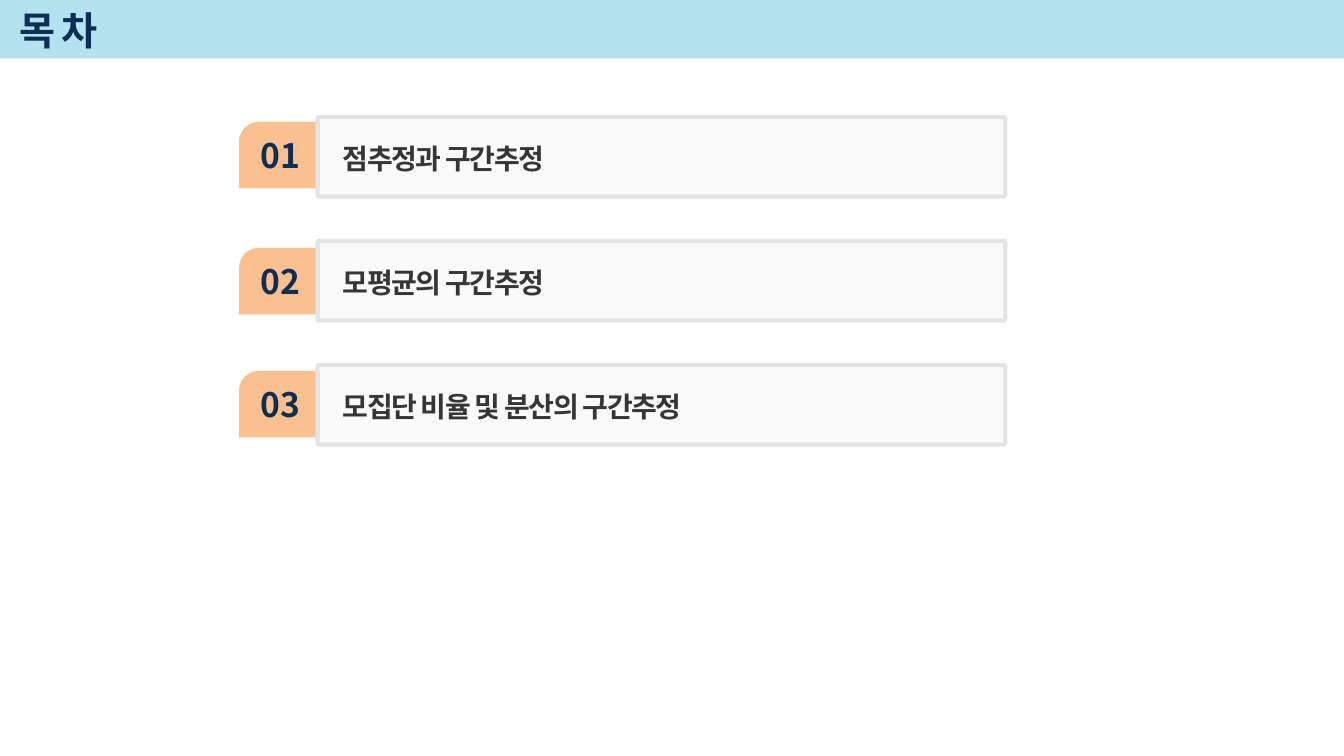
from dataclasses import dataclass
from typing import NamedTuple

from lxml import etree
from pptx import Presentation
from pptx.dml.color import RGBColor
from pptx.enum.shapes import MSO_SHAPE
from pptx.enum.text import MSO_ANCHOR, PP_ALIGN
from pptx.oxml.ns import qn
from pptx.util import Emu, Pt

RECT = MSO_SHAPE.RECTANGLE
CARD = MSO_SHAPE.ROUNDED_RECTANGLE
TAB = MSO_SHAPE.SNIP_ROUND_RECTANGLE
TOP, MIDDLE = MSO_ANCHOR.TOP, MSO_ANCHOR.MIDDLE
LEFT, CENTER = PP_ALIGN.LEFT, PP_ALIGN.CENTER
EMU_PER_PX = 9144


@dataclass(frozen=True)
class Theme:
    font: str = "Noto Sans CJK KR"
    band: str = "B3E3EE"
    tab: str = "FAC090"
    card: str = "F2F2F2"
    border: str = "E4E4E4"
    navy: str = "0F2E53"
    body: str = "363636"
    title_size: int = 28
    number_size: int = 24
    item_size: int = 20


class Box(NamedTuple):
    x: int
    y: int
    w: int
    h: int

    def emu(self) -> list[Emu]:
        return [Emu(v * EMU_PER_PX) for v in self]


@dataclass(frozen=True)
class TextStyle:
    size: int
    color: str
    align: PP_ALIGN = LEFT
    anchor: MSO_ANCHOR = TOP
    wrap: bool = True
    tracking: int = 0
    line_spacing: float = 1.0
    space_after: int = 0


class Item(NamedTuple):
    label: str
    tab_y: int


THEME = Theme()
TITLE = TextStyle(THEME.title_size, THEME.navy, anchor=MIDDLE, tracking=-100)
NUMBER = TextStyle(THEME.number_size, THEME.navy, align=CENTER, wrap=False)
LABEL = TextStyle(THEME.item_size, THEME.body, tracking=-100,
                  line_spacing=1.1, space_after=3)

ITEMS = [
    Item("점추정과 구간추정", 121),
    Item("모평균의 구간추정", 246),
    Item("모집단 비율 및 분산의 구간추정", 368),
]
CARD_TOP, CARD_PITCH = 116, 123


def add_panel(s, kind: MSO_SHAPE, box: Box, fill: str, adjustments=(),
              alpha: int | None = None, border: str | None = None) -> None:
    sp = s.shapes.add_shape(kind, *box.emu())
    sp.shadow.inherit = False
    for i, value in enumerate(adjustments):
        sp.adjustments[i] = value
    sp.fill.solid()
    sp.fill.fore_color.rgb = RGBColor.from_string(fill)
    if alpha is not None:
        color = sp._element.spPr.find(f"{qn('a:solidFill')}/{qn('a:srgbClr')}")
        etree.SubElement(color, qn("a:alpha")).set("val", str(alpha * 1000))
    if border is None:
        sp.line.fill.background()
    else:
        sp.line.color.rgb = RGBColor.from_string(border)
        sp.line.width = Pt(3)


def add_text(s, box: Box, text: str, style: TextStyle) -> None:
    tf = s.shapes.add_textbox(*box.emu()).text_frame
    p = tf.paragraphs[0]
    r = p.add_run()
    r.text = text
    formats = {
        tf: {"word_wrap": style.wrap, "vertical_anchor": style.anchor},
        p: {"alignment": style.align, "line_spacing": style.line_spacing,
            "space_after": Pt(style.space_after)},
        r.font: {"name": THEME.font, "size": Pt(style.size), "bold": True},
    }
    for target, values in formats.items():
        for name, value in values.items():
            setattr(target, name, value)
    r.font.color.rgb = RGBColor.from_string(style.color)
    rpr = r._r.get_or_add_rPr()
    etree.SubElement(rpr, qn("a:ea")).set("typeface", THEME.font)
    if style.tracking:
        rpr.set("spc", str(style.tracking))


def add_item(s, index: int, item: Item) -> None:
    card_y = CARD_TOP + index * CARD_PITCH
    add_panel(s, TAB, Box(237, item.tab_y, 80, 66), THEME.tab, (0.3, 0))
    add_text(s, Box(249, item.tab_y + 8, 59, 50), f"{index + 1:02d}", NUMBER)
    add_panel(s, CARD, Box(315, card_y, 682, 79), THEME.card, (0.02,),
              alpha=33, border=THEME.border)
    add_text(s, Box(330, card_y + 16, 528, 44), item.label, LABEL)


def main() -> None:
    prs = Presentation()
    prs.slide_width, prs.slide_height = Box(0, 0, 1333, 750).emu()[2:]
    s = prs.slides.add_slide(prs.slide_layouts[6])
    add_panel(s, RECT, Box(0, 0, 1333, 58), THEME.band)
    for index, item in enumerate(ITEMS):
        add_item(s, index, item)
    add_text(s, Box(9, 4, 1135, 52), "목 차", TITLE)
    prs.save("out.pptx")


if __name__ == "__main__":
    main()
